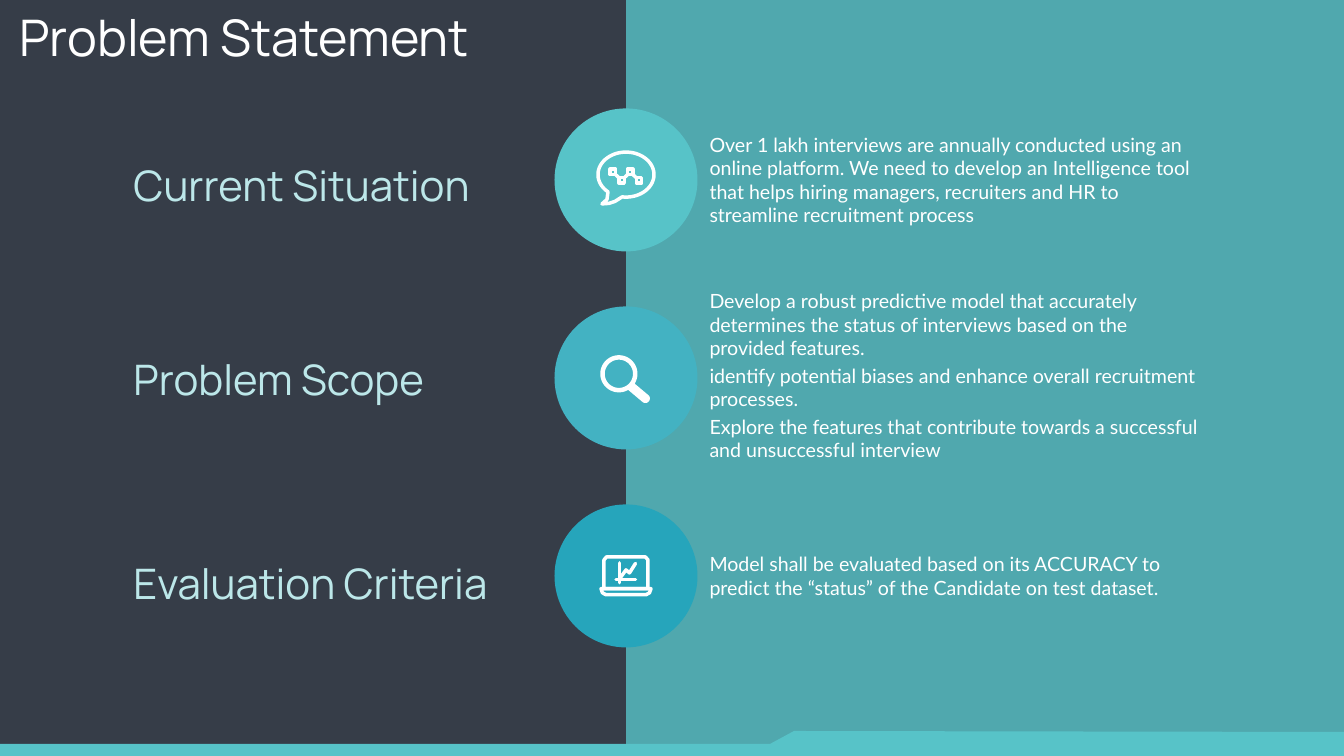
from math import cos, radians, sin

from lxml.etree import SubElement
from pptx import Presentation
from pptx.dml.color import RGBColor
from pptx.enum.shapes import MSO_SHAPE
from pptx.enum.text import MSO_ANCHOR, MSO_AUTO_SIZE, PP_ALIGN
from pptx.oxml.ns import qn
from pptx.util import Pt

# Content: heading, heading top, circle colour, body top, body height, paragraphs
TITLE = "Problem Statement"
SECTIONS = [
    ("Current Situation", 157, "57C3C8", 126.5, 107, [
        "Over 1 lakh interviews are annually conducted using an online platform. "
        "We need to develop an Intelligence tool that helps hiring managers, "
        "recruiters and HR to streamline recruitment process"]),
    ("Problem Scope", 351, "43B2C2", 283.3, 188, [
        "Develop a robust predictive model that accurately determines the status "
        "of interviews based on the provided features.",
        "identify potential biases and enhance overall recruitment processes.",
        "Explore the features that contribute towards a successful and "
        "unsuccessful interview"]),
    ("Evaluation Criteria", 555, "26A5BB", 546, 59, [
        "Model shall be evaluated based on its ACCURACY to predict the “status” "
        "of the Candidate on test dataset."]),
]


class Theme:
    dark, teal, pale, white = "363D48", "57C3C8", "BCE7E9", "FFFFFF"
    heading_font, body_font = "Manrope", "Lato"
    title_size, heading_size, body_size = 72, 60, 28
    stroke = 5


# Layout in px
EMU_PER_PX = 18143
WIDTH, HEIGHT = 1344, 756
SPLIT = 626
CIRCLE, CIRCLE_TOP, CIRCLE_STEP = 143, 108.4, 198
FOOTER = [(0, 756), (1344, 756), (1344, 732), (794, 731), (770, 744), (0, 744)]


def px(*values):
    return [round(v * EMU_PER_PX) for v in values]


def rgb(color):
    return RGBColor.from_string(color)


def paint(sp, fill=None, line=None):
    sp.shadow.inherit = False
    if fill:
        sp.fill.solid()
        sp.fill.fore_color.rgb = rgb(fill)
    else:
        sp.fill.background()
    if line:
        sp.line.width = Pt(Theme.stroke)
        sp.line.color.rgb = rgb(line)
        ln = sp._element.spPr.find(qn("a:ln"))
        ln.set("cap", "rnd")
        SubElement(ln, qn("a:round"))
    else:
        sp.line.fill.background()
    return sp


def add_shape(s, kind, box, **style):
    return paint(s.shapes.add_shape(kind, *px(*box)), **style)


def add_path(s, *contours, close=True, origin=(0, 0), **style):
    """One outline made of any number of contours, placed from origin."""
    ox, oy = origin
    builder = None
    for contour in contours:
        first, *rest = [tuple(px(ox + x, oy + y)) for x, y in contour]
        if builder is None:
            builder = s.shapes.build_freeform(*first, scale=1.0)
        else:
            builder.move_to(*first)
        builder.add_line_segments(rest, close=close)
    return paint(builder.convert_to_shape(), **style)


def arc(cx, cy, rx, ry, start, end, step=4):
    return [(cx + rx * cos(radians(a)), cy + ry * sin(radians(a)))
            for a in range(start, end + 1, step)]


def square(cx, cy, half):
    return [(cx - half, cy - half), (cx + half, cy - half),
            (cx + half, cy + half), (cx - half, cy + half)]


def write(sp, paragraphs, font, size, color, inset=(5, 2.5), space=0):
    tf = sp.text_frame
    tf.word_wrap = True
    tf.auto_size = MSO_AUTO_SIZE.NONE
    tf.vertical_anchor = MSO_ANCHOR.TOP
    tf.margin_left, tf.margin_top = px(*inset)
    tf.margin_right, tf.margin_bottom = px(*inset)
    for i, text in enumerate(paragraphs):
        p = tf.add_paragraph() if i else tf.paragraphs[0]
        p.alignment = PP_ALIGN.LEFT
        p.space_before = Pt(space if i else 0)
        r = p.add_run()
        r.text = text
        r.font.name, r.font.size = font, Pt(size)
        r.font.color.rgb = rgb(color)


def add_text(s, box, *args, **kwargs):
    write(s.shapes.add_textbox(*px(*box)), *args, **kwargs)


def draw_chat(s, origin):
    """Speech bubble holding a zigzag of four linked nodes."""
    tail = [(-11, 21.5), (-17, 23.5), (-24, 24), (-19, 19.5)]
    add_path(s, arc(0, -5.3, 28, 22.5, 130, 458) + tail, origin=origin,
             line=Theme.white)
    nodes = [(-13.1 + 8.7 * i, -8 + 8.5 * (i % 2)) for i in range(4)]
    links = []
    for (x1, y1), (x2, y2) in zip(nodes, nodes[1:]):
        dy = 2.7 if y2 > y1 else -2.7
        links.append([(x1 + 2.7, y1 + dy), (x2 - 2.7, y2 - dy)])
    add_path(s, *[square(x, y, 2.7) for x, y in nodes], *links, origin=origin,
             line=Theme.white)


def draw_magnifier(s, origin):
    """Ring with a round-ended handle."""
    lens = (-7.1, -4.1)
    body = arc(*lens, 18.6, 18.6, 60, 392) + arc(19.4, 20.6, 4.5, 4.5, -45, 135)
    add_path(s, body, arc(*lens, 14.1, 14.1, 0, 356), origin=origin,
             fill=Theme.white)


def draw_laptop(s, origin):
    """Laptop with a small line chart on its screen."""
    screen = [(-22, 12.8), (-22, -16), (-19.5, -19), (19.5, -19), (22, -16),
              (22, 12.8)]
    base = [(-25, 12.8), (25, 12.8), (23.5, 17), (20, 18.8), (-20, 18.8),
            (-23.5, 17)]
    add_path(s, screen, base, origin=origin, line=Theme.white)
    axes = [[(-6.5, -13), (-6.5, 6.8)], [(-10, 3.5), (9.5, 3.5)]]
    trend = [(-6.5, 3), (0, -6), (3.5, -3), (9.5, -12.5)]
    add_path(s, *axes, trend, close=False, origin=origin, line=Theme.white)


def main():
    prs = Presentation()
    prs.slide_width, prs.slide_height = px(WIDTH, HEIGHT)
    s = prs.slides.add_slide(prs.slide_layouts[5])
    s.background.fill.solid()
    s.background.fill.fore_color.rgb = rgb(Theme.dark)

    # Title
    title = s.shapes.title
    title.left, title.top, title.width, title.height = px(14.5, 3.5, 515, 66)
    write(title, [TITLE], Theme.heading_font, Theme.title_size, Theme.white)

    # Footer band and translucent right panel
    add_path(s, FOOTER, fill=Theme.teal)
    panel = add_shape(s, MSO_SHAPE.RECTANGLE, (SPLIT, 0, WIDTH - SPLIT, HEIGHT),
                      fill=Theme.teal)
    color = panel._element.spPr.find(qn("a:solidFill"))[0]
    SubElement(color, qn("a:alpha")).set("val", "80000")

    # One row per section: heading, circle with icon, body text
    icons = [draw_chat, draw_magnifier, draw_laptop]
    for i, (section, draw_icon) in enumerate(zip(SECTIONS, icons)):
        heading, heading_top, fill, body_top, body_height, body = section
        top = CIRCLE_TOP + i * CIRCLE_STEP
        add_shape(s, MSO_SHAPE.OVAL, (SPLIT - CIRCLE / 2, top, CIRCLE, CIRCLE),
                  fill=fill)
        draw_icon(s, (SPLIT, top + CIRCLE / 2))
        add_text(s, (128.5, heading_top, 407, 56), [heading],
                 Theme.heading_font, Theme.heading_size, Theme.pale)
        add_text(s, (697.5, body_top, 522, body_height), body, Theme.body_font,
                 Theme.body_size, Theme.white, inset=(12, 6), space=5.6)

    prs.save("out.pptx")


if __name__ == "__main__":
    main()
